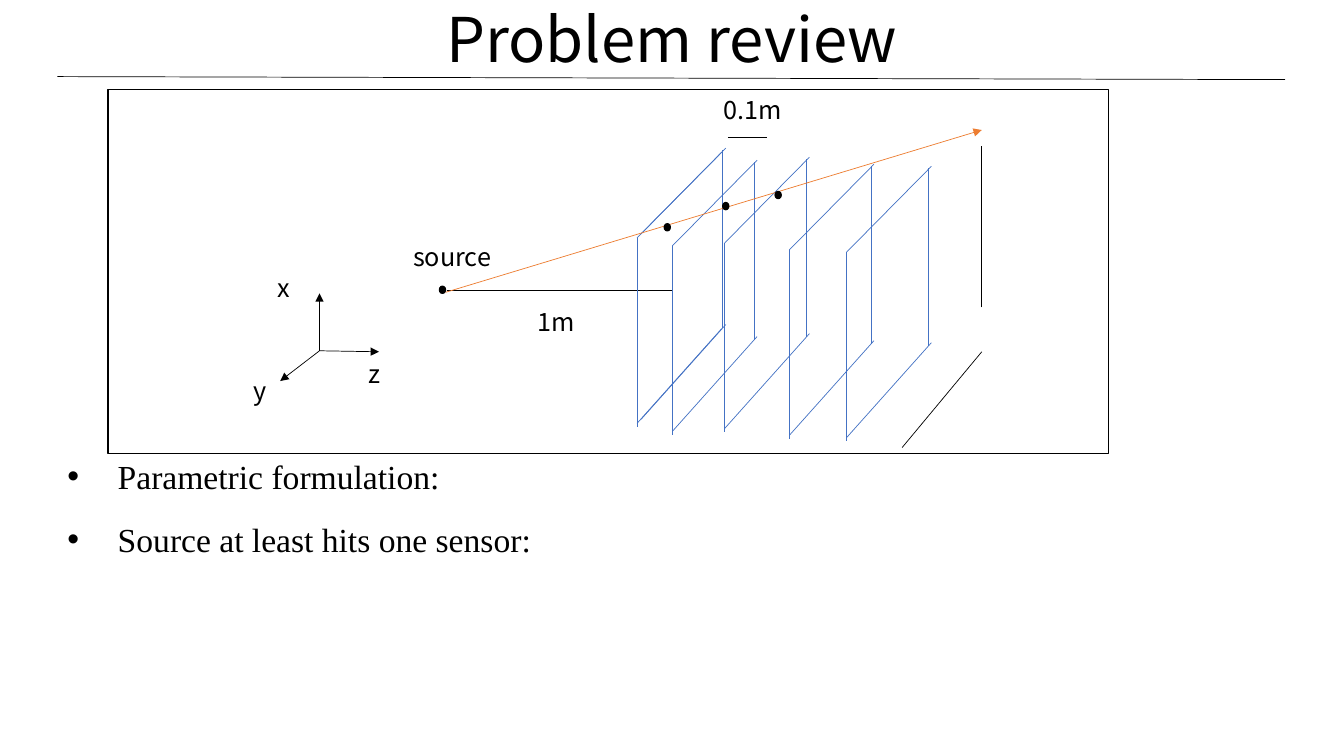
from pptx import Presentation
from pptx.dml.color import RGBColor
from pptx.enum.shapes import MSO_CONNECTOR, MSO_SHAPE
from pptx.enum.text import MSO_ANCHOR, MSO_AUTO_SIZE, PP_ALIGN
from pptx.oxml.ns import qn
from pptx.util import Cm, Pt
from lxml import etree

STRAIGHT = MSO_CONNECTOR.STRAIGHT
RECTANGLE, OVAL = MSO_SHAPE.RECTANGLE, MSO_SHAPE.OVAL
MIDDLE, CENTER = MSO_ANCHOR.MIDDLE, PP_ALIGN.CENTER
FIT_SHAPE = MSO_AUTO_SIZE.SHAPE_TO_FIT_TEXT

# Content: all positions are in inches
COLORS = {"ink": "000000", "paper": "FFFFFF", "sensor": "4472C4", "ray": "ED7D31"}
SANS, SERIF = "Noto Sans CJK SC", "Times New Roman"
TITLE = "Problem review"
BULLETS = ["Parametric formulation:", "Source at least hits one sensor:"]
LABELS = [
    ("0.1m", 7.08, 0.89), ("1m", 5.23, 2.99), ("source", 4, 2.34),
    ("x", 2.65, 2.65), ("y", 2.42, 3.67), ("z", 3.56, 3.51),
]
FRAME = (1.07, 0.89, 9.93, 3.61)
TITLE_RULE = (0.57, 0.76, 12.75, 0.79)
DISTANCE = (4.43, 2.88, 6.67, 2.88)
SPACING = (7.22, 1.36, 7.61, 1.36)
SENSOR_WIDTH = (8.95, 4.44, 9.74, 3.49)
SENSOR_HEIGHT = (9.74, 3.05, 9.74, 1.45)
RAY = (4.42, 2.9, 9.74, 1.29)
AXIS_ORIGIN = (3.17, 3.48)
AXIS_TIPS = [(3.17, 2.91), (3.76, 3.49), (2.78, 3.78)]
DOTS = [(4.36, 2.84), (6.59, 2.22), (7.17, 2.01), (7.69, 1.9)]

# Sensor edges, measured from the sensor's upper left corner
EDGES = {
    "left": (0, 0, 0, 1.88),
    "right": (0.81, -0.83, 0.81, 0.93),
    "top": (0.84, -0.85, 0, 0),
    "bottom": (0.84, 0.9, 0, 1.84),
}
SENSORS = [
    (6.32, 2.36, ["left", "top", "bottom"]),
    (6.36, 2.32, ["right", "top", "bottom"]),
    (6.67, 2.44, EDGES), (7.19, 2.41, EDGES),
    (7.83, 2.48, EDGES), (8.4, 2.5, EDGES),
]


def lengths(*inches):
    return [Cm(2.54 * value) for value in inches]


def rgb(name):
    return RGBColor.from_string(COLORS[name])


def add_line(ends, color="ink", arrow=False):
    line = slide.shapes.add_connector(STRAIGHT, *lengths(*ends))
    line.line.color.rgb = rgb(color)
    line.line.width = Pt(0.5)
    properties = line._element.spPr
    etree.SubElement(properties, qn("a:effectLst"))
    if arrow:
        etree.SubElement(properties.find(qn("a:ln")), qn("a:tailEnd"), type="triangle")


def add_solid(kind, box, fill):
    solid = slide.shapes.add_shape(kind, *lengths(*box))
    solid.shadow.inherit = False
    solid.fill.solid()
    solid.fill.fore_color.rgb = rgb(fill)
    solid.line.color.rgb = rgb("ink")
    solid.line.width = Pt(1)


def style(paragraph, font_name, size):
    font = paragraph.runs[0].font
    font.name, font.size = font_name, Pt(size)
    font.color.rgb = rgb("ink")
    for script in ("a:ea", "a:cs"):
        etree.SubElement(font._element, qn(script), typeface=font_name)


def add_text(text, box, font_name, size):
    frame = slide.shapes.add_textbox(*lengths(*box)).text_frame
    frame.word_wrap = True
    frame.auto_size = FIT_SHAPE
    frame.text = text
    style(frame.paragraphs[0], font_name, size)
    return frame.paragraphs[0]


presentation = Presentation()
presentation.slide_width, presentation.slide_height = lengths(13.333, 7.5)
slide = presentation.slides.add_slide(presentation.slide_layouts[5])

# Title and its rule
title = slide.shapes.title
title.left, title.top, title.width, title.height = lengths(0, 0, 13.33, 0.85)
title.text_frame.text = TITLE
title.text_frame.vertical_anchor = MIDDLE
heading = title.text_frame.paragraphs[0]
heading.alignment = CENTER
heading.line_spacing = 0.9
style(heading, SANS, 44)
add_line(TITLE_RULE)

# Diagram frame and measures
add_solid(RECTANGLE, FRAME, "paper")
for measure in (DISTANCE, SPACING, SENSOR_WIDTH, SENSOR_HEIGHT):
    add_line(measure)

# Sensors
for x, y, edges in SENSORS:
    for edge in edges:
        x1, y1, x2, y2 = EDGES[edge]
        add_line((x + x1, y + y1, x + x2, y + y2), "sensor")

# Axes, ray and hits
for tip in AXIS_TIPS:
    add_line(AXIS_ORIGIN + tip, arrow=True)
add_line(RAY, "ray", arrow=True)
for x, y in DOTS:
    add_solid(OVAL, (x, y, 0.06, 0.07), "ink")

# Labels
for label, x, y in LABELS:
    add_text(label, (x, y, 1.39, 0.4), SANS, 18)

# Bullets
for row, bullet in enumerate(BULLETS):
    paragraph = add_text(bullet, (0.57, 4.47 + 0.63 * row, 11.97, 0.5), SERIF, 24)
    indent = paragraph._p.get_or_add_pPr()
    indent.set("marL", str(Cm(1.27)))
    indent.set("indent", str(-Cm(1.27)))
    etree.SubElement(indent, qn("a:buFont"), typeface="Arial")
    etree.SubElement(indent, qn("a:buChar"), char="•")

presentation.save("out.pptx")
